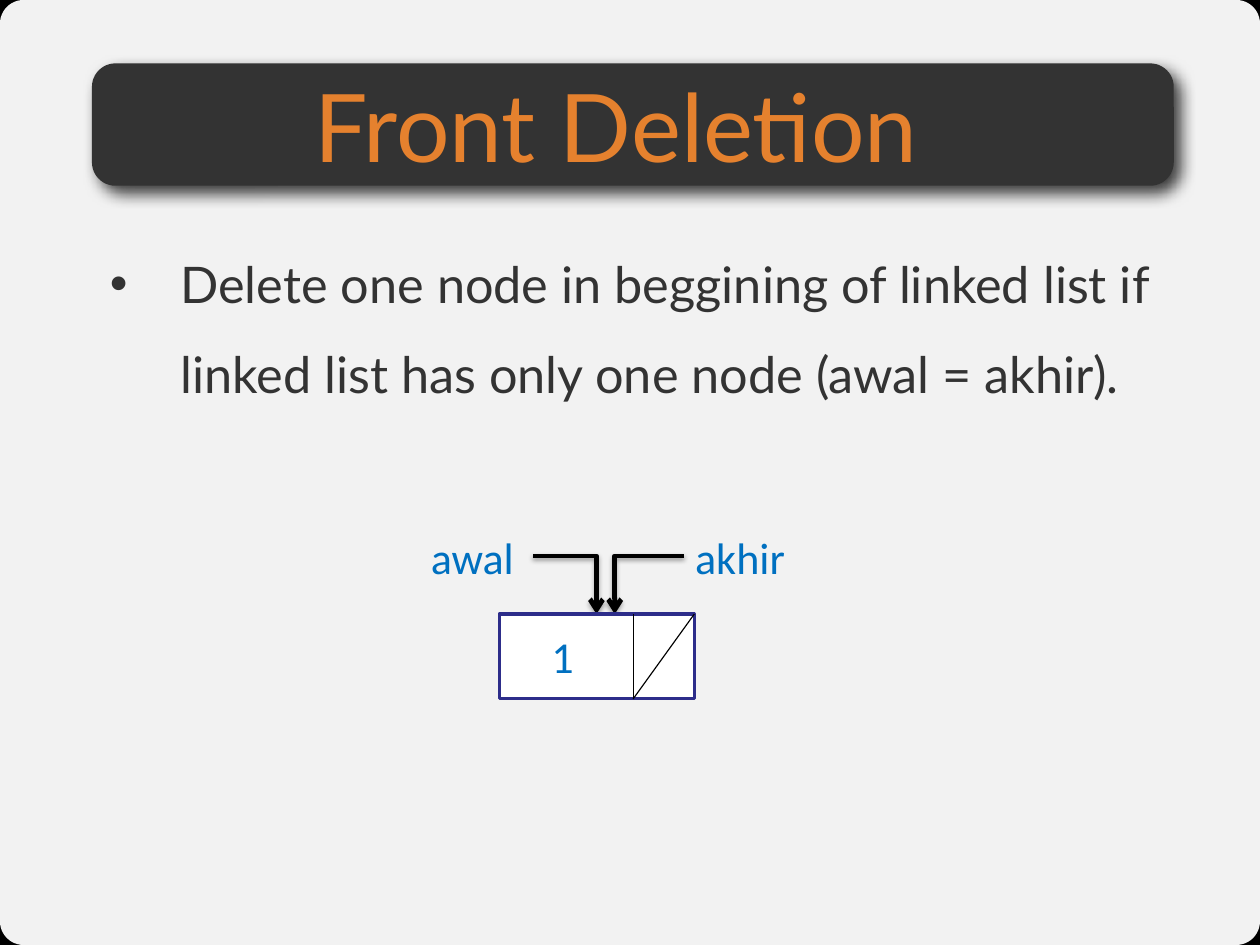
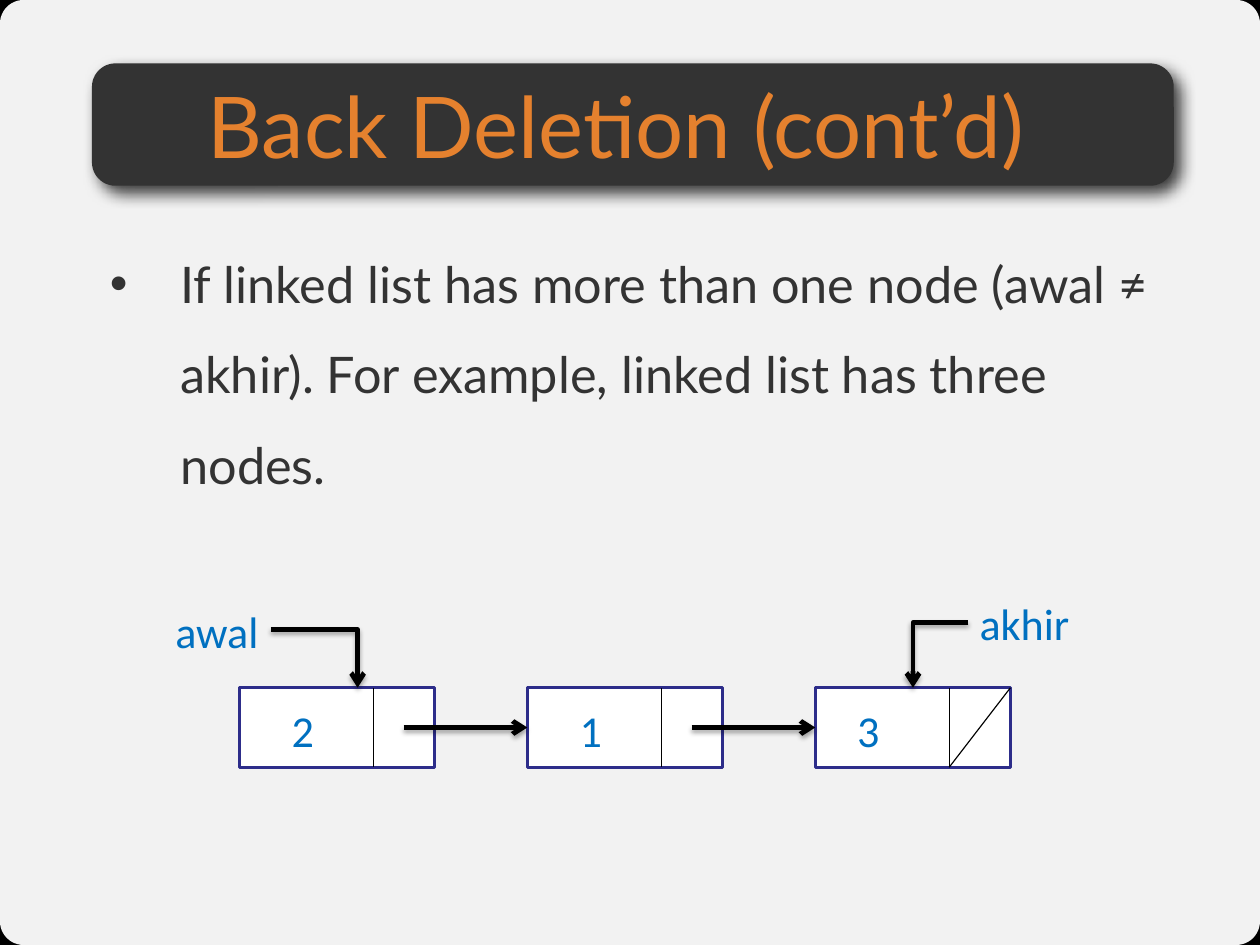
from dataclasses import dataclass
from typing import NamedTuple

from lxml.etree import SubElement
from pptx import Presentation
from pptx.dml.color import RGBColor
from pptx.enum.shapes import MSO_CONNECTOR, MSO_SHAPE
from pptx.enum.text import MSO_ANCHOR, MSO_AUTO_SIZE, PP_ALIGN
from pptx.oxml.ns import qn
from pptx.util import Cm, Pt


@dataclass(frozen=True)
class Theme:
    black: str = "000000"
    white: str = "FFFFFF"
    dark: str = "333333"
    orange: str = "E5812E"
    blue: str = "0070C0"
    navy: str = "2D2D8A"
    main: str = "Lato"
    note: str = "Calibri"
    body: int = 32
    label: int = 28
    thin: float = 0.75
    edge: float = 2
    thick: float = 3


class Box(NamedTuple):
    """Left, top, width and height in centimetres."""
    x: float
    y: float
    w: float
    h: float


T = Theme()
PAGE = Box(0, 0, 28.22, 21.16)
BAND = Box(2.06, 1.42, 24.23, 2.74)
TITLE = Box(1.73, 1.52, 24.13, 2.54)
BODY = Box(2.46, 4.98, 24.28, 14.2)
NODE_W = 4.37   # width of a list node
SPLIT = 3.0     # from the node's left side to its divider
LINK = 3.68     # from the node's left side to the start of its link


def rgb(code):
    return RGBColor.from_string(code)


def area(box):
    return [Cm(v) for v in box]


def shade(shape, alpha, blur, dist, angle):
    """Give a shape or a connector an outer shadow."""
    props = shape.element.spPr
    glow = props.find(qn("a:effectLst"))
    if glow is None:
        glow = SubElement(props, qn("a:effectLst"))
    outer = SubElement(glow, qn("a:outerShdw"), blurRad=str(Pt(blur)),
                       dist=str(Pt(dist)), dir=str(angle * 60000),
                       algn="ctr", rotWithShape="0")
    color = SubElement(outer, qn("a:srgbClr"), val=T.black)
    SubElement(color, qn("a:alpha"), val=str(alpha * 1000))


def block(slide, kind, box, fill, edge=None):
    """Add a filled preset shape, with an outline if a colour is given."""
    shape = slide.shapes.add_shape(kind, *area(box))
    shape.shadow.inherit = False
    shape.fill.solid()
    shape.fill.fore_color.rgb = rgb(fill)
    if edge:
        shape.line.color.rgb = rgb(edge)
        shape.line.width = Pt(T.edge)
    else:
        shape.line.fill.background()
    return shape


def write(frame, text, font, size, color, inset=True):
    frame.word_wrap = True
    frame.auto_size = MSO_AUTO_SIZE.NONE
    if not inset:
        frame.margin_left = frame.margin_right = 0
        frame.margin_top = frame.margin_bottom = 0
    frame.text = text
    para = frame.paragraphs[0]
    face = para.runs[0].font
    face.name, face.size, face.color.rgb = font, Pt(size), rgb(color)
    return para


def label(slide, text, x, y, w=3.2):
    frame = slide.shapes.add_textbox(*area((x, y, w, 1.45))).text_frame
    write(frame, text, T.note, T.label, T.blue)


def stroke(slide, kind, x1, y1, x2, y2, width=T.thin):
    line = slide.shapes.add_connector(kind, *area((x1, y1, x2, y2)))
    line.line.color.rgb = rgb(T.black)
    line.line.width = Pt(width)
    SubElement(line.element.spPr, qn("a:effectLst"))
    return line


def arrow(slide, kind, x1, y1, x2, y2):
    line = stroke(slide, kind, x1, y1, x2, y2, T.thick)
    SubElement(line.line._get_or_add_ln(), qn("a:tailEnd"), type="arrow")
    shade(line, 35, 3.1, 1.8, 90)
    return line


def node(slide, box, value, indent=0.92, last=False):
    """Draw a list node: value cell, divider and, at the end, a slash."""
    cell = block(slide, MSO_SHAPE.RECTANGLE, box, T.white, T.navy)
    cut, foot = box.x + SPLIT, box.y + box.h
    stroke(slide, MSO_CONNECTOR.STRAIGHT, cut, box.y, cut, foot)
    if last:
        stroke(slide, MSO_CONNECTOR.STRAIGHT, box.x + box.w, box.y, cut, foot)
    label(slide, value, box.x + indent, box.y + 0.22, 1.6)
    return cell


def hook(slide, name, box, lead):
    """Name a pointer and bend its arrow; a negative width points left."""
    label(slide, name, box.x - lead, box.y - 0.7)
    bend = arrow(slide, MSO_CONNECTOR.ELBOW, box.x, box.y,
                 box.x + box.w, box.y + box.h)
    bend.element.spPr.find(qn("a:prstGeom")).set("prst", "bentConnector2")


def single(slide, box):
    """One node with both pointers on it."""
    hook(slide, "awal", Box(box.x + 0.76, box.y - 1.3, 1.42, 1.3), 2.54)
    hook(slide, "akhir", Box(box.x + 4.14, box.y - 1.3, -1.55, 1.3), 0)
    node(slide, Box(box.x, box.y, NODE_W, box.h), "1", last=True)


def chain(slide, box):
    """Three linked nodes spread evenly over the box."""
    step = (box.w - NODE_W) / 2
    spots = [Box(box.x + i * step, box.y, NODE_W, box.h) for i in range(3)]
    cells = [node(slide, spots[0], "2"),
             node(slide, spots[1], "1"),
             node(slide, spots[2], "3", 0.69, last=True)]
    mid = box.y + box.h / 2
    for spot, cell in zip(spots, cells[1:]):
        link = arrow(slide, MSO_CONNECTOR.STRAIGHT, spot.x + LINK, mid,
                     spot.x + step, mid)
        link.end_connect(cell, 1)
    hook(slide, "awal", Box(box.x + 0.71, box.y - 1.3, 1.94, 1.3), 2.39)
    hook(slide, "akhir", Box(box.x + 16.33, box.y - 1.46, -1.24, 1.46), 0)


def base(deck, title, size, body):
    """Add a slide with the shared panel, title band and bulleted text."""
    slide = deck.slides.add_slide(deck.slide_layouts[5])

    # Rounded page panel
    panel = block(slide, MSO_SHAPE.ROUNDED_RECTANGLE, PAGE, T.white)
    panel.adjustments[0] = 0.025
    tint = panel.element.spPr.find(qn("a:solidFill"))[0]
    SubElement(tint, qn("a:alpha"), val="95000")

    # Bulleted text
    frame = slide.shapes.add_textbox(*area(BODY)).text_frame
    para = write(frame, body, T.main, T.body, T.dark, inset=False)
    para.line_spacing = 1.5
    props = para._p.get_or_add_pPr()
    props.set("marL", str(Cm(1.58)))
    props.set("indent", str(-Cm(1.58)))
    SubElement(props, qn("a:buFont"), typeface="Arial")
    SubElement(props, qn("a:buChar"), char="•")

    # Title on its band
    band = block(slide, MSO_SHAPE.ROUNDED_RECTANGLE, BAND, T.dark)
    band.adjustments[0] = 0.192
    shade(band, 75, 10, 6, 51)
    head = slide.shapes.title
    head.left, head.top, head.width, head.height = area(TITLE)
    para = write(head.text_frame, title, T.main, size, T.orange, inset=False)
    para.alignment = PP_ALIGN.CENTER
    head.text_frame.vertical_anchor = MSO_ANCHOR.MIDDLE
    band.element.addnext(head.element)
    return slide


def main():
    deck = Presentation()
    deck.slide_width, deck.slide_height = Cm(PAGE.w), Cm(PAGE.h)
    back = deck.slide_master.background.fill
    back.solid()
    back.fore_color.rgb = rgb(T.black)

    front = base(deck, "Front Deletion", 60,
                 "Delete one node in beggining of linked list if "
                 "linked list has only one node (awal = akhir).")
    single(front, Box(11.18, 13.75, NODE_W, 1.9))

    rear = base(deck, "Back Deletion (cont’d)", 54,
                "If linked list has more than one node (awal ≠ akhir). "
                "For example, linked list has three nodes.")
    chain(rear, Box(5.36, 15.4, 17.27, 1.78))

    deck.save("out.pptx")


if __name__ == "__main__":
    main()
